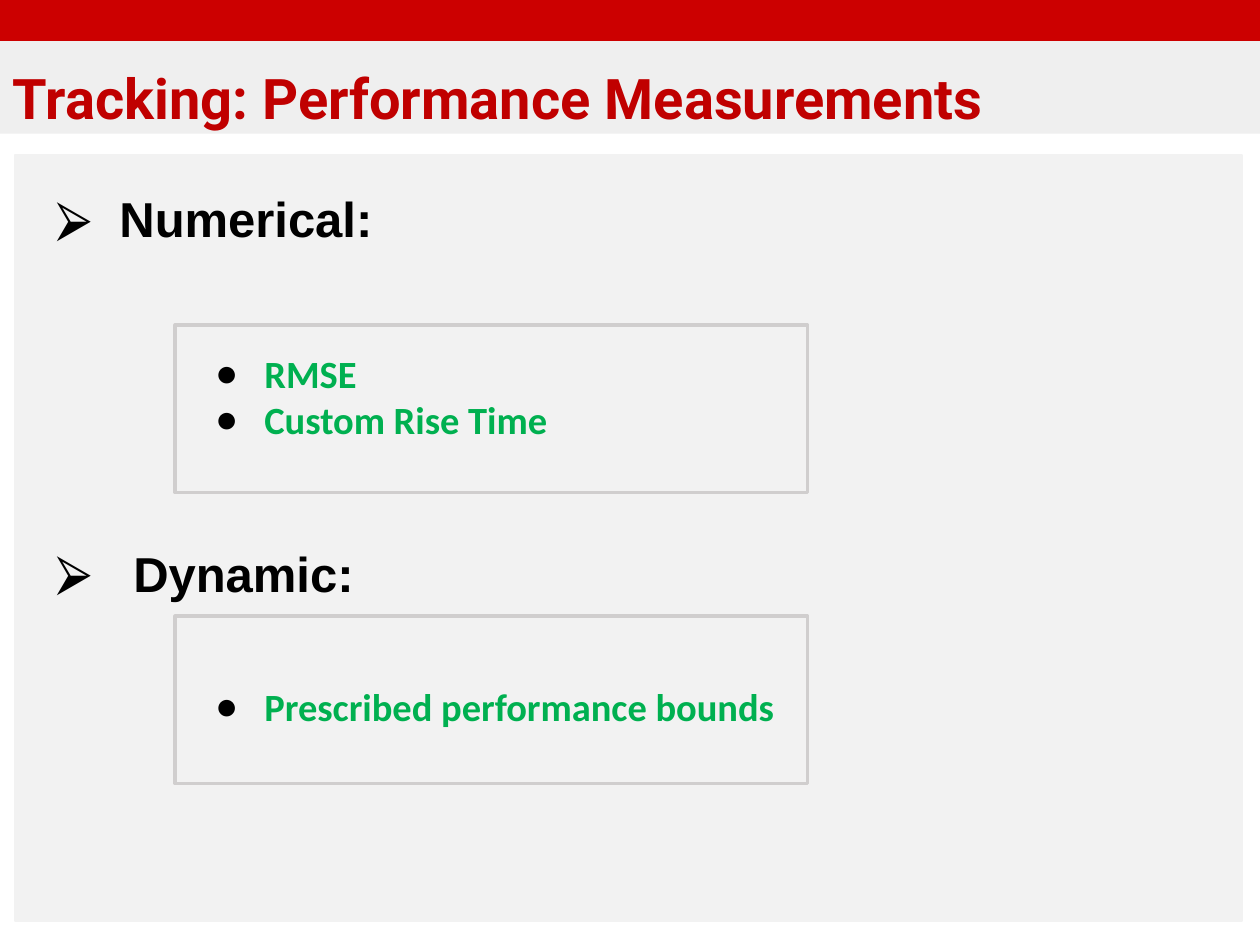
from lxml.etree import SubElement as Sub
from pptx import Presentation
from pptx.dml.color import RGBColor as RGB
from pptx.enum.shapes import MSO_SHAPE as Kind
from pptx.enum.text import MSO_ANCHOR as Anchor, MSO_AUTO_SIZE as Auto, PP_ALIGN as Align
from pptx.oxml.ns import qn
from pptx.util import Inches, Pt

theme = {
    "bar": "CC0000", "band": "EFEFEF", "panel": "F2F2F2", "frame": "D0CECE",
    "title": ("Roboto", 32, "C00000"),
    "head": ("Arial", 28, "000000"),
    "item": ("Calibri", 22, "00B050"),
    "mark": "000000",
}

deck = Presentation()
deck.slide_width, deck.slide_height = Inches(10), Inches(7.5)
slide = deck.slides.add_slide(deck.slide_layouts[5])
shapes = slide.shapes


def style(para, look):
    font = para.runs[0].font
    font.name, size, color = look
    font.size, font.bold = Pt(size), True
    font.color.rgb = RGB.from_string(color)


def bullets(area, lines, look, mark, hang, pad):
    box = shapes.add_textbox(*map(Inches, area))
    frame = box.text_frame
    frame.word_wrap = True
    frame.margin_top = frame.margin_bottom = Inches(pad)
    frame.text = "\n".join(text for text, left, gap in lines)
    for para, (text, left, gap) in zip(frame.paragraphs, lines):
        props = para._p.get_or_add_pPr()
        props.set("marL", str(Inches(left)))
        props.set("indent", str(-Inches(hang or left)))
        Sub(Sub(props, qn("a:buClr")), qn("a:srgbClr"), val=theme["mark"])
        Sub(props, qn("a:buFont"), typeface="Arial")
        Sub(props, qn("a:buChar"), char=mark)
        if gap:
            para.space_before = Pt(gap)
        style(para, look)


title = shapes.title
title.left, title.top, title.width, title.height = map(Inches, (0, 0.32, 10, 0.74))
title.fill.solid()
title.fill.fore_color.rgb = RGB.from_string(theme["band"])
frame = title.text_frame
frame.text = "Tracking: Performance Measurements"
frame.auto_size, frame.vertical_anchor = Auto.NONE, Anchor.TOP
frame.margin_left = frame.margin_right = Inches(0.1)
frame.margin_top = frame.margin_bottom = Inches(0.1)
para = frame.paragraphs[0]
para.alignment, para.line_spacing = Align.LEFT, 1.15
style(para, theme["title"])

left, wide, high = 1.39, 5.02, 1.33
rows = 2.58, 4.89
rects = [
    ((0, 0, 10, 0.32), theme["bar"], theme["bar"], 1),
    ((0.12, 1.23, 9.74, 6.08), theme["panel"], theme["panel"], 1),
] + [((left, top, wide, high), None, theme["frame"], 2) for top in rows]
for area, fill, line, width in rects:
    rect = shapes.add_shape(Kind.RECTANGLE, *map(Inches, area))
    rect.shadow.inherit = False
    if fill:
        rect.fill.solid()
        rect.fill.fore_color.rgb = RGB.from_string(fill)
    else:
        rect.fill.background()
    rect.line.color.rgb = RGB.from_string(line)
    rect.line.width = Pt(width)

bullets((0.35, 1.45, 3.16, 3.7), [("Numerical:", 0.5, 0), ("Dynamic:", 0.61, 169)],
        theme["head"], "⮚", None, 0.05)
lists = [
    (rows[0] + 0.1, 4.02, 0.94, ["RMSE", "Custom Rise Time"]),
    (rows[1] + 0.43, 5.52, 0.57, ["Prescribed performance bounds"]),
]
for top, width, height, names in lists:
    bullets((1.5, top, width, height), [(name, 0.5, 0) for name in names],
            theme["item"], "●", 0.39, 0.1)

deck.save("out.pptx")
